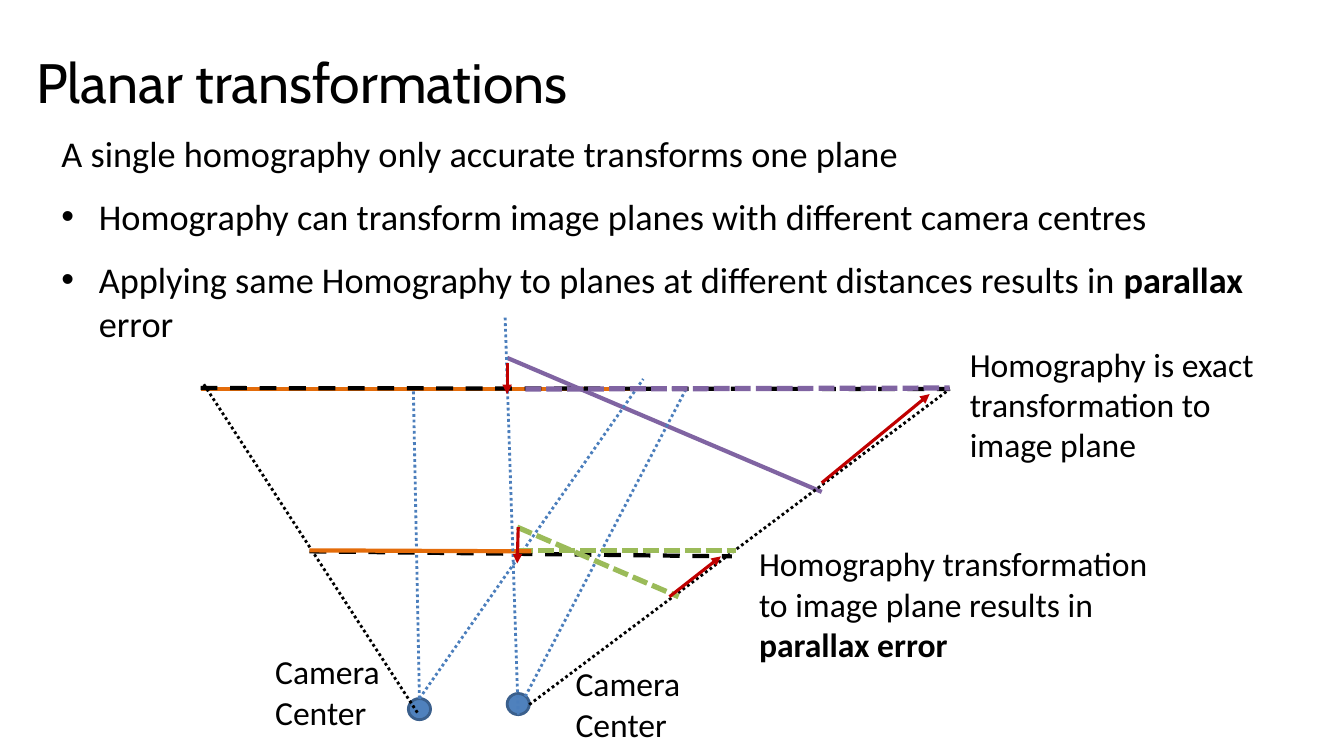
from dataclasses import dataclass

from lxml.etree import SubElement
from pptx import Presentation
from pptx.dml.color import RGBColor
from pptx.enum.dml import MSO_LINE
from pptx.enum.shapes import MSO_CONNECTOR, MSO_SHAPE
from pptx.enum.text import MSO_ANCHOR, MSO_AUTO_SIZE, PP_ALIGN
from pptx.oxml.ns import qn
from pptx.util import Inches, Pt


@dataclass(frozen=True)
class Theme:
    """Colours, fonts and type sizes of the slide."""
    title_font: str = "Cabin"
    body_font: str = "Calibri"
    title_size: float = 39.6
    body_size: float = 25.9
    label_size: float = 24
    black: str = "000000"
    camera: str = "4F81BD"
    camera_edge: str = "3A5F8C"
    ray: str = "4B7EBC"
    first_plane: str = "E46C0A"
    far_plane: str = "8064A2"
    near_plane: str = "9BBB59"
    shift: str = "C00000"


THEME = Theme()


def place(shape, box):
    """Move a shape to a box of left, top, width and height in inches."""
    shape.left, shape.top, shape.width, shape.height = map(Inches, box)


def add_run(paragraph, text, font, size, bold=False):
    """Add one black run to a paragraph."""
    run = paragraph.add_run()
    run.text = text
    run.font.name = font
    run.font.size = Pt(size)
    run.font.bold = bold
    run.font.color.rgb = RGBColor.from_string(THEME.black)


def add_title(slide, box, text):
    """Fill the title placeholder."""
    title = slide.shapes.title
    place(title, box)
    frame = title.text_frame
    frame.auto_size = MSO_AUTO_SIZE.NONE
    frame.vertical_anchor = MSO_ANCHOR.BOTTOM
    paragraph = frame.paragraphs[0]
    paragraph.alignment = PP_ALIGN.LEFT
    paragraph.line_spacing = 0.8
    add_run(paragraph, text, THEME.title_font, THEME.title_size)


def set_bullet(paragraph, bulleted):
    """Give a paragraph a hanging bullet, or none."""
    properties = paragraph._p.get_or_add_pPr()
    indent = Inches(0.37) if bulleted else 0
    properties.set("marL", str(indent))
    properties.set("indent", str(-indent))
    if bulleted:
        SubElement(properties, qn("a:buFont"), typeface="Arial")
        SubElement(properties, qn("a:buChar"), char="•")
    else:
        SubElement(properties, qn("a:buNone"))


def add_body(slide, box, paragraphs):
    """Fill the body placeholder with a lead line and bullets."""
    body = slide.placeholders[1]
    place(body, box)
    frame = body.text_frame
    frame.auto_size = MSO_AUTO_SIZE.NONE
    frame.vertical_anchor = MSO_ANCHOR.TOP
    for index, runs in enumerate(paragraphs):
        paragraph = frame.add_paragraph() if index else frame.paragraphs[0]
        set_bullet(paragraph, index > 0)
        paragraph.space_before = Pt(14 if index else 0)
        for text, bold in runs:
            add_run(paragraph, text, THEME.body_font, THEME.body_size, bold)


def add_label(slide, box, runs):
    """Add a wrapped text label."""
    label = slide.shapes.add_textbox(*map(Inches, box))
    frame = label.text_frame
    frame.word_wrap = True
    for text, bold in runs:
        add_run(frame.paragraphs[0], text, THEME.body_font, THEME.label_size, bold)


def add_camera(slide, left, top):
    """Add the dot that marks a camera centre."""
    camera = slide.shapes.add_shape(
        MSO_SHAPE.OVAL, *map(Inches, (left, top, 0.22, 0.21)))
    camera.shadow.inherit = False
    camera.fill.solid()
    camera.fill.fore_color.rgb = RGBColor.from_string(THEME.camera)
    camera.line.color.rgb = RGBColor.from_string(THEME.camera_edge)
    camera.line.width = Pt(2)


def add_line(slide, start, end, color, width, dash=None, arrow=False):
    """Add a straight line, dashed or with an arrowhead if asked."""
    connector = slide.shapes.add_connector(
        MSO_CONNECTOR.STRAIGHT, *map(Inches, (*start, *end)))
    connector.line.color.rgb = RGBColor.from_string(color)
    connector.line.width = Pt(width)
    if dash:
        connector.line.dash_style = dash
    if arrow:
        SubElement(connector.line._get_or_add_ln(), qn("a:tailEnd"), type="triangle")
    SubElement(connector._element.spPr, qn("a:effectLst"))


def add_diagram(slide, box):
    """Draw two cameras, their rays, the planes and the parallax shifts."""
    left, top = box[:2]
    ray = (THEME.ray, 2, MSO_LINE.ROUND_DOT)
    edge = (THEME.black, 2, MSO_LINE.ROUND_DOT)
    image_plane = (THEME.black, 3, MSO_LINE.DASH)
    first_plane = (THEME.first_plane, 3)
    far_mapped = (THEME.far_plane, 3.75, MSO_LINE.SQUARE_DOT)
    near_mapped = (THEME.near_plane, 3.75, MSO_LINE.SQUARE_DOT)
    shift = (THEME.shift, 2.25, None, True)
    far_left, far_right = (0, 0.71), (7.43, 0.71)
    near_left = (1.08, 2.31)
    left_camera = (2.17, 3.78)
    lines = [
        (far_left, (4.31, 0.71), first_plane),
        ((3.04, 0.4), (6.16, 1.73), (THEME.far_plane, 3)),
        (left_camera, (2.11, 0.71), ray),
        ((2.15, 3.92), (0.03, 0.66), edge),
        (left_camera, (4.39, 0.61), ray),
        ((0, 0.7), far_right, image_plane),
        ((3.26, 3.84), far_right, edge),
        ((3.22, 3.76), (4.82, 0.7), ray),
        ((1.08, 2.32), (5.27, 2.37), image_plane),
        ((3.14, 2.08), (4.74, 2.77), near_mapped),
        ((3.14, 2.31), (5.31, 2.31), near_mapped),
        (near_left, (3.28, 2.32), first_plane),
        ((3.15, 3.94), (3.02, 0), ray),
        ((3.22, 0.71), (7.43, 0.7), far_mapped),
        ((6.16, 1.64), (7.23, 0.76), shift),
        ((4.65, 2.77), (5.16, 2.37), shift),
        ((3.15, 2.08), (3.14, 2.44), shift),
        ((3.04, 0.45), (3.04, 0.76), shift),
    ]
    for camera_left, camera_top in ((2.06, 3.78), (3.04, 3.73)):
        add_camera(slide, left + camera_left, top + camera_top)
    for start, end, style in lines:
        add_line(slide, (left + start[0], top + start[1]),
                 (left + end[0], top + end[1]), *style)


def main():
    """Build and save the slide."""
    presentation = Presentation()
    presentation.slide_width = Inches(13.33)
    presentation.slide_height = Inches(7.5)
    slide = presentation.slides.add_slide(presentation.slide_layouts[1])
    add_title(slide, (0.26, 0.11, 12.76, 1.07), "Planar transformations")
    add_body(slide, (0.51, 1.25, 12.6, 2.03), [
        [("A single homography only accurate transforms one plane", False)],
        [("Homography can transform image planes with different camera centres", False)],
        [("Applying same Homography to planes at different distances results in ", False),
         ("parallax", True), (" error", False)],
    ])
    add_diagram(slide, (1.99, 3.15, 7.43, 3.94))
    for left, top in ((2.63, 6.41), (5.61, 6.53)):
        add_label(slide, (left, top, 1.32, 0.91), [("Camera Center", False)])
    add_label(slide, (9.52, 3.36, 3.03, 1.31),
              [("Homography is exact transformation to image plane", False)])
    add_label(slide, (7.43, 5.34, 4.09, 1.31),
              [("Homography transformation to image plane results in ", False),
               ("parallax error", True)])
    presentation.save("out.pptx")


if __name__ == "__main__":
    main()
